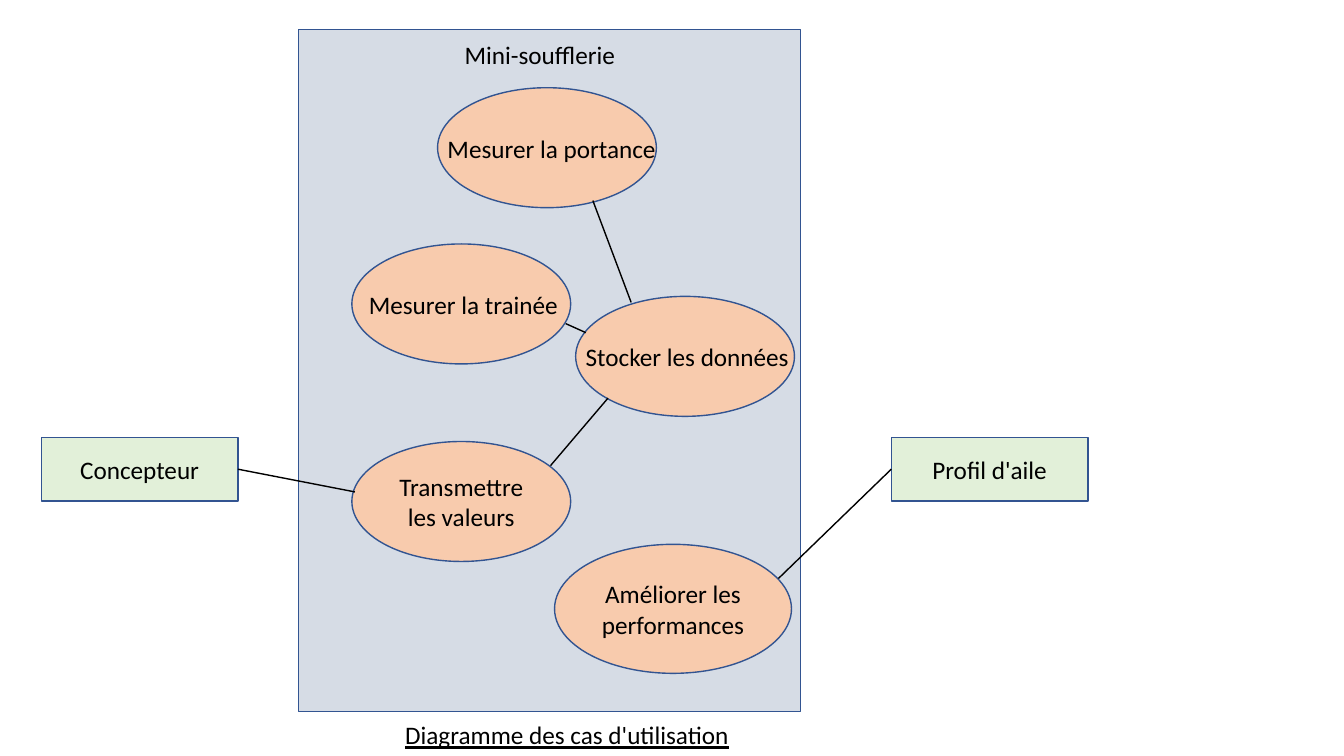
from pptx import Presentation
from pptx.dml.color import RGBColor
from pptx.enum.shapes import MSO_CONNECTOR, MSO_SHAPE
from pptx.enum.text import MSO_ANCHOR, PP_ALIGN
from pptx.oxml.ns import qn
from pptx.util import Inches, Pt
from lxml import etree

RECTANGLE, ELLIPSE = MSO_SHAPE.RECTANGLE, MSO_SHAPE.OVAL
STRAIGHT = MSO_CONNECTOR.STRAIGHT
MIDDLE, CENTER, LEFT = MSO_ANCHOR.MIDDLE, PP_ALIGN.CENTER, PP_ALIGN.LEFT

BLACK = RGBColor(0x00, 0x00, 0x00)
OUTLINE = RGBColor(0x32, 0x54, 0x91)
SYSTEM_FILL = RGBColor(0xD6, 0xDC, 0xE5)
CASE_FILL = RGBColor(0xF8, 0xCB, 0xAD)
ACTOR_FILL = RGBColor(0xE2, 0xF0, 0xD9)

CASE_SIZE = (2.17, 1.19)
ACTOR_SIZE = (1.95, 0.63)
LEFT_SIDE, RIGHT_SIDE = 1, 3

# Use cases whose single-line label sits in its own box: text, ellipse corner, label left
LABELLED_CASES = [
    ("Mesurer la portance", (4.34, 0.87), 4.34),
    ("Mesurer la trainée", (3.49, 2.42), 3.56),
    ("Stocker les données", (5.71, 2.94), 5.71),
]
CASE_LINKS = [
    ((5.61, 3.21), (5.81, 3.3)),
    ((5.88, 1.99), (6.26, 3)),
    ((6.03, 3.95), (5.46, 4.62)),
]


def write_text(frame, text, align, underline=False):
    frame.word_wrap = True
    para = frame.paragraphs[0]
    para.alignment = align
    span = para.add_run()
    span.text = text
    span.font.color.rgb = BLACK
    formats = {"name": "Calibri", "size": Pt(18), "underline": underline}
    for name, value in formats.items():
        setattr(span.font, name, value)


def add_figure(page, kind, corner, size, fill, text=None):
    figure = page.shapes.add_shape(kind, *map(Inches, corner + size))
    figure.shadow.inherit = False
    figure.fill.solid()
    figure.fill.fore_color.rgb = fill
    figure.line.color.rgb = OUTLINE
    figure.line.width = Pt(1)
    if text:
        figure.text_frame.vertical_anchor = MIDDLE
        write_text(figure.text_frame, text, CENTER)
    return figure


def add_label(page, text, left, top, width=3, underline=False):
    box = page.shapes.add_textbox(*map(Inches, (left, top, width, 0.4)))
    write_text(box.text_frame, text, LEFT, underline)


def add_link(page, start, end):
    link = page.shapes.add_connector(STRAIGHT, *map(Inches, start + end))
    link.line.color.rgb = BLACK
    link.line.width = Pt(1)
    etree.SubElement(link._element.spPr, qn("a:effectLst"))
    return link


def main():
    deck = Presentation()
    deck.slide_width, deck.slide_height = Inches(13.33), Inches(7.5)
    page = deck.slides.add_slide(deck.slide_layouts[6])

    add_figure(page, RECTANGLE, (2.96, 0.29), (4.98, 6.77), SYSTEM_FILL)
    add_label(page, "Mini-soufflerie", 4.51, 0.34)

    for text, corner, label_left in LABELLED_CASES:
        add_figure(page, ELLIPSE, corner, CASE_SIZE, CASE_FILL)
        add_label(page, text, label_left, corner[1] + 0.4)
    add_figure(page, ELLIPSE, (3.49, 4.38), CASE_SIZE, CASE_FILL, "Transmettre les valeurs")
    add_figure(page, ELLIPSE, (5.5, 5.4), (2.35, 1.28), CASE_FILL, "Améliorer les performances")
    for start, end in CASE_LINKS:
        add_link(page, start, end)

    designer = add_figure(page, RECTANGLE, (0.41, 4.34), ACTOR_SIZE, ACTOR_FILL, "Concepteur")
    profile = add_figure(page, RECTANGLE, (8.84, 4.34), ACTOR_SIZE, ACTOR_FILL, "Profil d'aile")
    add_link(page, (3.52, 4.88), (2.36, 4.66)).end_connect(designer, RIGHT_SIDE)
    add_link(page, (8.84, 4.66), (7.72, 5.74)).begin_connect(profile, LEFT_SIDE)

    add_label(page, "Diagramme des cas d'utilisation", 3.92, 7.09, 3.61, underline=True)
    deck.save("out.pptx")


if __name__ == "__main__":
    main()
